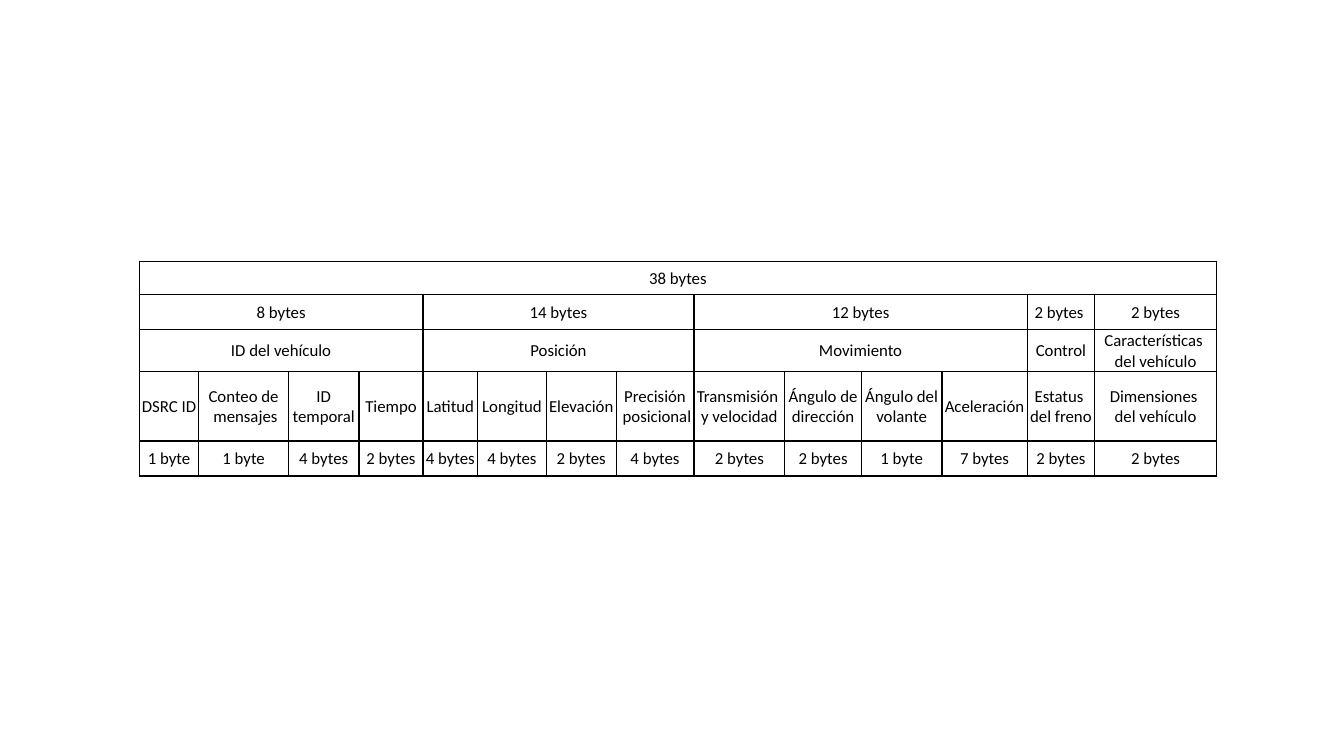
from lxml import etree
from pptx import Presentation
from pptx.dml.color import RGBColor
from pptx.enum import text
from pptx.oxml import ns
from pptx.util import Cm, Pt

BLACK, WHITE = "000000", "FFFFFF"
TOTAL = "38 bytes"
# group size, group name, fields: (name, size, column width in cm)
GROUPS = [
    ("8 bytes", "ID del vehículo", [
        ("DSRC ID", "1 byte", 1.5), ("Conteo de\n mensajes", "1 byte", 2.26),
        ("ID temporal", "4 bytes", 1.78), ("Tiempo", "2 bytes", 1.61)]),
    ("14 bytes", "Posición", [
        ("Latitud", "4 bytes", 1.38), ("Longitud", "4 bytes", 1.73),
        ("Elevación", "2 bytes", 1.76), ("Precisión\n posicional", "4 bytes", 1.96)]),
    ("12 bytes", "Movimiento", [
        ("Transmisión \ny velocidad", "2 bytes", 2.29),
        ("Ángulo de dirección", "2 bytes", 1.93),
        ("Ángulo del volante", "1 byte", 2.03), ("Aceleración", "7 bytes", 2.15)]),
    ("2 bytes ", "Control", [("Estatus \ndel freno", "2 bytes", 1.7)]),
    ("2 bytes", "Características \ndel vehículo", [
        ("Dimensiones \ndel vehículo", "2 bytes", 3.07)]),
]
ROW_HEIGHTS = [0.85, 0.88, 0.94, 1.75, 0.88]
LEFT, TOP = 3.51, 6.58


def color(value):
    """Turn a hex string into a colour."""
    return RGBColor.from_string(value)


def add_borders(cell):
    """Draw a thin black line on all four sides of a cell."""
    tc_pr = cell._tc.get_or_add_tcPr()
    for i, side in enumerate(("lnL", "lnR", "lnT", "lnB")):
        ln = etree.Element(ns.qn("a:" + side), w=str(Pt(1)))
        fill = etree.SubElement(ln, ns.qn("a:solidFill"))
        etree.SubElement(fill, ns.qn("a:srgbClr"), val=BLACK)
        tc_pr.insert(i, ln)


def format_cell(cell):
    """Give a cell its fill, margins and borders."""
    cell.fill.solid()
    cell.fill.fore_color.rgb = color(WHITE)
    cell.vertical_anchor = text.MSO_ANCHOR.MIDDLE
    cell.margin_left = cell.margin_right = cell.margin_top = Cm(0.02)
    cell.margin_bottom = 0
    add_borders(cell)


def write(table, row, col, words, span=1):
    """Write centred words in a cell that spans some columns."""
    cell = table.cell(row, col)
    if span > 1:
        cell.merge(table.cell(row, col + span - 1))
    cell.text = words
    for p in cell.text_frame.paragraphs:
        p.alignment = text.PP_ALIGN.CENTER
        p.font.name, p.font.size = "Calibri", Pt(12)
        p.font.color.rgb = color(BLACK)


prs = Presentation()
prs.slide_width, prs.slide_height = Cm(33.87), Cm(19.05)
slide = prs.slides.add_slide(prs.slide_layouts[6])

widths = [width for _, _, fields in GROUPS for _, _, width in fields]
table = slide.shapes.add_table(
    len(ROW_HEIGHTS), len(widths), Cm(LEFT), Cm(TOP),
    Cm(sum(widths)), Cm(sum(ROW_HEIGHTS))).table
table.first_row = table.horz_banding = False
for column, width in zip(table.columns, widths):
    column.width = Cm(width)
for row, height in zip(table.rows, ROW_HEIGHTS):
    row.height = Cm(height)
for cell in table.iter_cells():
    format_cell(cell)

write(table, 0, 0, TOTAL, len(widths))
col = 0
for size, name, fields in GROUPS:
    write(table, 1, col, size, len(fields))
    write(table, 2, col, name, len(fields))
    for field, field_size, _ in fields:
        write(table, 3, col, field)
        write(table, 4, col, field_size)
        col += 1

prs.save("out.pptx")
